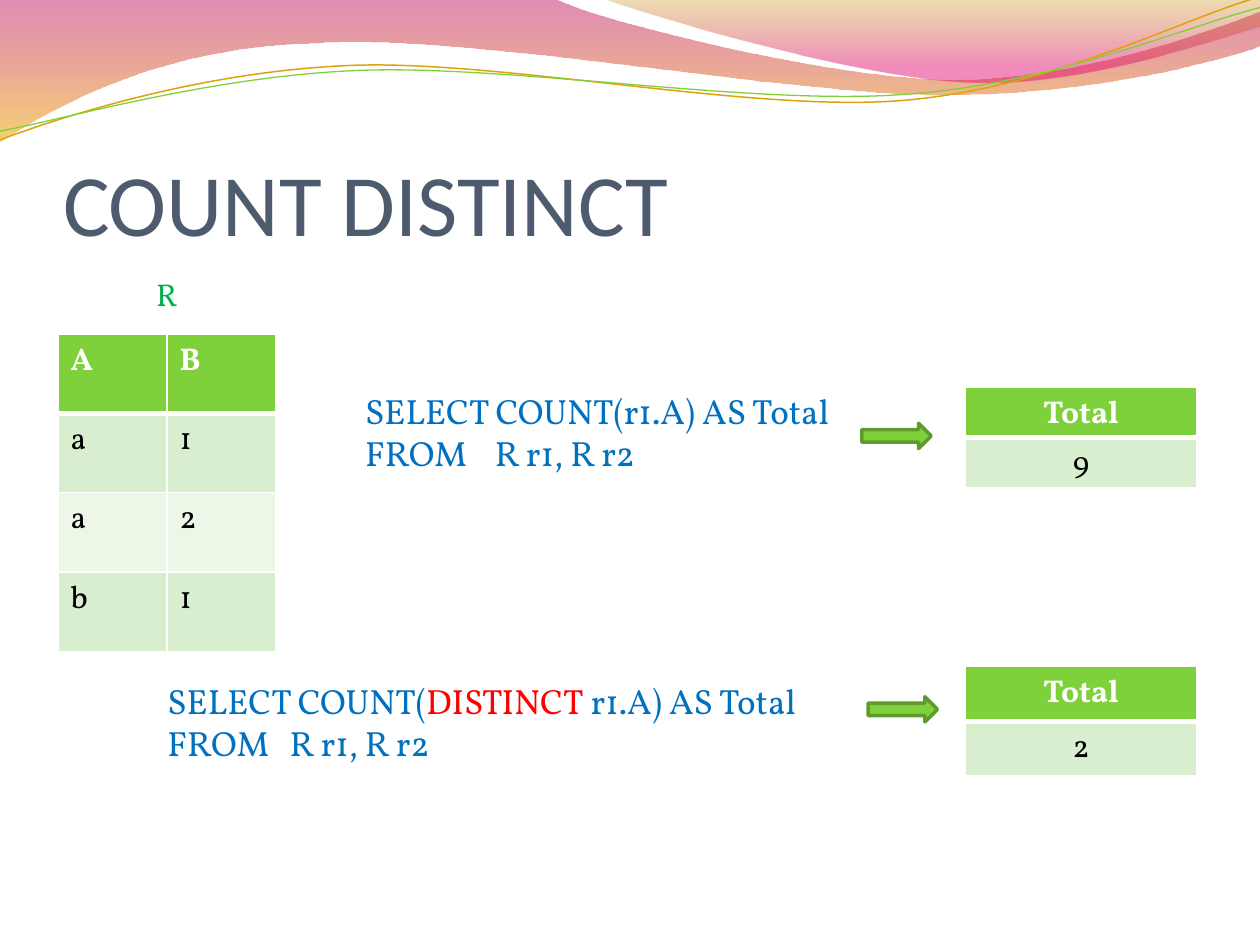
"""Build the COUNT DISTINCT slide: relation R, two queries and their results."""
import math

import lxml.etree
import pptx
import pptx.dml.color
import pptx.enum.shapes
import pptx.enum.text
import pptx.oxml.ns
import pptx.util

Inches = pptx.util.Inches
qn = pptx.oxml.ns.qn

THEME = {
    "title_font": "Calibri", "body_font": "Vollkorn",
    "title_size": 50, "query_size": 20, "body_size": 18,
    "title": "4E5B6F", "relation": "00B050", "query": "0070C0", "keyword": "FF0000",
    "header": "7FD13B", "bands": ("D8EECE", "ECF7E8"), "arrow_line": "5E9B2C",
    "light": "FFFFFF", "dark": "000000",
}

TITLE = "COUNT DISTINCT"
RELATION = {"name": "R", "label": (1.14, 2.13, 0.63, 0.4), "box": (0.46, 2.65, 1.73, 2.52),
            "rows": [["A", "B"], ["a", "1"], ["a", "2"], ["b", "1"]]}
QUERIES = [
    {"lines": [[("SELECT COUNT(r1.A) AS Total", "query")], [("FROM\tR r1, R r2", "query")]],
     "box": (2.8, 3.04, 3.97, 0.77), "tab": 1.03, "wrap": False,
     "arrow": (6.84, 3.36, 0.55, 0.2),
     "rows": [["Total"], ["9"]], "result": (7.66, 3.07, 1.84, 0.8)},
    {"lines": [[("SELECT COUNT(", "query"), ("DISTINCT", "keyword"), (" r1.A) AS Total", "query")],
               [("FROM\tR r1, R r2", "query")]],
     "box": (1.23, 5.34, 5.59, 0.77), "tab": 0.97, "wrap": True,
     "arrow": (6.89, 5.53, 0.55, 0.2),
     "rows": [["Total"], ["2"]], "result": (7.66, 5.29, 1.84, 0.87)},
]
WAVES = [
    {"path": [(0, 0), (4.4, -0.01), (4.76, 0.17, 6.64, 0.63, 7.58, 0.63),
              (8.53, 0.63, 9.58, 0.26, 10, 0.09), (10.01, 0.36),
              (9.83, 0.44, 8.7, 0.76, 7.46, 0.75), (6.22, 0.75, 3.82, 0.28, 2.57, 0.34),
              (1.29, 0.36, 0.46, 0.83, -0.01, 1.13)],
     "stops": [(0, "BD0059", 45), (100, "F0AB00", 55)]},
    {"path": [(4.79, -0.01), (5.09, 0.11, 6.82, 0.62, 7.69, 0.65),
              (8.56, 0.69, 9.61, 0.32, 10, 0.21), (10, 0)],
     "stops": [(0, "C38B00", 30), (80, "E1006B", 45)]},
    {"path": [(0, 1.11), (0.48, 0.93, 1.58, 0.57, 2.77, 0.52),
              (3.95, 0.47, 5.93, 0.89, 7.13, 0.8), (8.33, 0.71, 9.38, 0.15, 9.98, -0.02)],
     "line": ("E0A209", 0.85), "center": (4.99, 0.58), "tilt": -2.7},
    {"path": [(0, 1.04), (0.47, 0.96, 1.64, 0.61, 2.83, 0.56),
              (4.03, 0.51, 5.97, 0.84, 7.17, 0.75), (8.36, 0.67, 9.41, 0.21, 10, 0.06)],
     "line": ("7FD13B", 0.75), "center": (5, 0.59), "tilt": -2.7},
]


def rgb(value):
    return pptx.dml.color.RGBColor.from_string(value)


def inches(box):
    return [Inches(length) for length in box]


def add_xml(parent, tag, **attributes):
    return lxml.etree.SubElement(parent, qn(tag), {key: str(value) for key, value in attributes.items()})


def style(font, size, color, name=THEME["body_font"], bold=False):
    font.name, font.size, font.bold = name, pptx.util.Pt(size), bold
    font.color.rgb = rgb(color)


def untilt(segment, center, degrees):
    cosine, sine = math.cos(math.radians(degrees)), math.sin(math.radians(degrees))
    points = []
    for x, y in zip(segment[::2], segment[1::2]):
        across, down = x - center[0], y - center[1]
        points.append((Inches(center[0] + across * cosine + down * sine),
                       Inches(center[1] - across * sine + down * cosine)))
    return points


def add_curve(slide, wave):
    tilt, center = wave.get("tilt", 0), wave.get("center", (0, 0))
    segments = [untilt(segment, center, tilt) for segment in wave["path"]]
    builder = slide.shapes.build_freeform(*segments[0][0])
    builder.add_line_segments([points[-1] for points in segments[1:]], close="stops" in wave)
    shape = builder.convert_to_shape()
    straight_lines = list(shape._element.iter(qn("a:lnTo")))
    for element, points in zip(straight_lines, segments[1:]):
        if len(points) == 3:
            curve = lxml.etree.Element(qn("a:cubicBezTo"))
            for x, y in points:
                add_xml(curve, "a:pt", x=x - shape.left, y=y - shape.top)
            element.getparent().replace(element, curve)
    shape.rotation = tilt
    shape.shadow.inherit = False
    return shape


def add_wave(slide, wave):
    shape = add_curve(slide, wave)
    if "line" in wave:
        color, width = wave["line"]
        shape.fill.background()
        shape.line.color.rgb, shape.line.width = rgb(color), pptx.util.Pt(width)
        return
    shape.line.fill.background()
    shape.fill.gradient()
    shape.fill.gradient_angle = 270
    for stop, (position, color, _) in zip(shape.fill.gradient_stops, wave["stops"]):
        stop.position, stop.color.rgb = position / 100, rgb(color)
    for element, (_, _, opacity) in zip(shape._element.spPr.iter(qn("a:srgbClr")), wave["stops"]):
        add_xml(element, "a:alpha", val=opacity * 1000)


def add_text(slide, box, lines, size, wrap=True, tab=None):
    frame = slide.shapes.add_textbox(*inches(box)).text_frame
    frame.word_wrap = wrap
    frame.auto_size = pptx.enum.text.MSO_AUTO_SIZE.SHAPE_TO_FIT_TEXT
    for index, runs in enumerate(lines):
        paragraph = frame.add_paragraph() if index else frame.paragraphs[0]
        if tab and any("\t" in text for text, _ in runs):
            tabs = add_xml(paragraph._p.get_or_add_pPr(), "a:tabLst")
            add_xml(tabs, "a:tab", pos=Inches(tab), algn="l")
        style(paragraph.font, size, THEME[runs[0][1]])
        for text, color in runs:
            run = paragraph.add_run()
            run.text = text
            if len(runs) > 1:
                run.font.color.rgb = rgb(THEME[color])


def add_borders(cell, sides):
    properties = cell._tc.get_or_add_tcPr()
    for side, width in sides.items():
        line = add_xml(properties, f"a:ln{side}", w=pptx.util.Pt(width))
        add_xml(add_xml(line, "a:solidFill"), "a:srgbClr", val=THEME["light"])


def add_table(slide, box, rows, alignment):
    table = slide.shapes.add_table(len(rows), len(rows[0]), *inches(box)).table
    for row_index, row in enumerate(rows):
        table.rows[row_index].height = Inches(box[3] / len(rows))
        header = row_index == 0
        for column_index, text in enumerate(row):
            cell = table.cell(row_index, column_index)
            add_borders(cell, {"L": 1, "R": 1, "T": 3 if row_index == 1 else 1, "B": 3 if header else 1})
            cell.fill.solid()
            cell.fill.fore_color.rgb = rgb(THEME["header"] if header else THEME["bands"][(row_index - 1) % 2])
            cell.text = text
            paragraph = cell.text_frame.paragraphs[0]
            paragraph.alignment = alignment
            style(paragraph.font, THEME["body_size"], THEME["light" if header else "dark"], bold=header)


def add_arrow(slide, box):
    arrow = slide.shapes.add_shape(pptx.enum.shapes.MSO_SHAPE.RIGHT_ARROW, *inches(box))
    arrow.shadow.inherit = False
    arrow.fill.solid()
    arrow.fill.fore_color.rgb = rgb(THEME["header"])
    arrow.line.color.rgb, arrow.line.width = rgb(THEME["arrow_line"]), pptx.util.Pt(2)


def add_title(slide):
    title = slide.shapes.title
    title.left, title.top, title.width, title.height = inches((0.5, 0.77, 9, 1.25))
    frame = title.text_frame
    frame.text = TITLE
    frame.auto_size = pptx.enum.text.MSO_AUTO_SIZE.NONE
    frame.vertical_anchor = pptx.enum.text.MSO_ANCHOR.BOTTOM
    frame.margin_left = frame.margin_right = frame.margin_bottom = 0
    frame.margin_top = Inches(0.05)
    paragraph = frame.paragraphs[0]
    paragraph.alignment = pptx.enum.text.PP_ALIGN.LEFT
    style(paragraph.font, THEME["title_size"], THEME["title"], THEME["title_font"])


def main():
    presentation = pptx.Presentation()
    presentation.slide_width, presentation.slide_height = Inches(10), Inches(7.5)
    slide = presentation.slides.add_slide(presentation.slide_layouts[5])
    for wave in WAVES:
        add_wave(slide, wave)
    add_title(slide)
    add_table(slide, RELATION["box"], RELATION["rows"], pptx.enum.text.PP_ALIGN.LEFT)
    add_text(slide, RELATION["label"], [[(RELATION["name"], "relation")]], THEME["body_size"])
    for query in QUERIES:
        add_text(slide, query["box"], query["lines"], THEME["query_size"], query["wrap"], query["tab"])
        add_table(slide, query["result"], query["rows"], pptx.enum.text.PP_ALIGN.CENTER)
        add_arrow(slide, query["arrow"])
    presentation.save("out.pptx")


if __name__ == "__main__":
    main()
